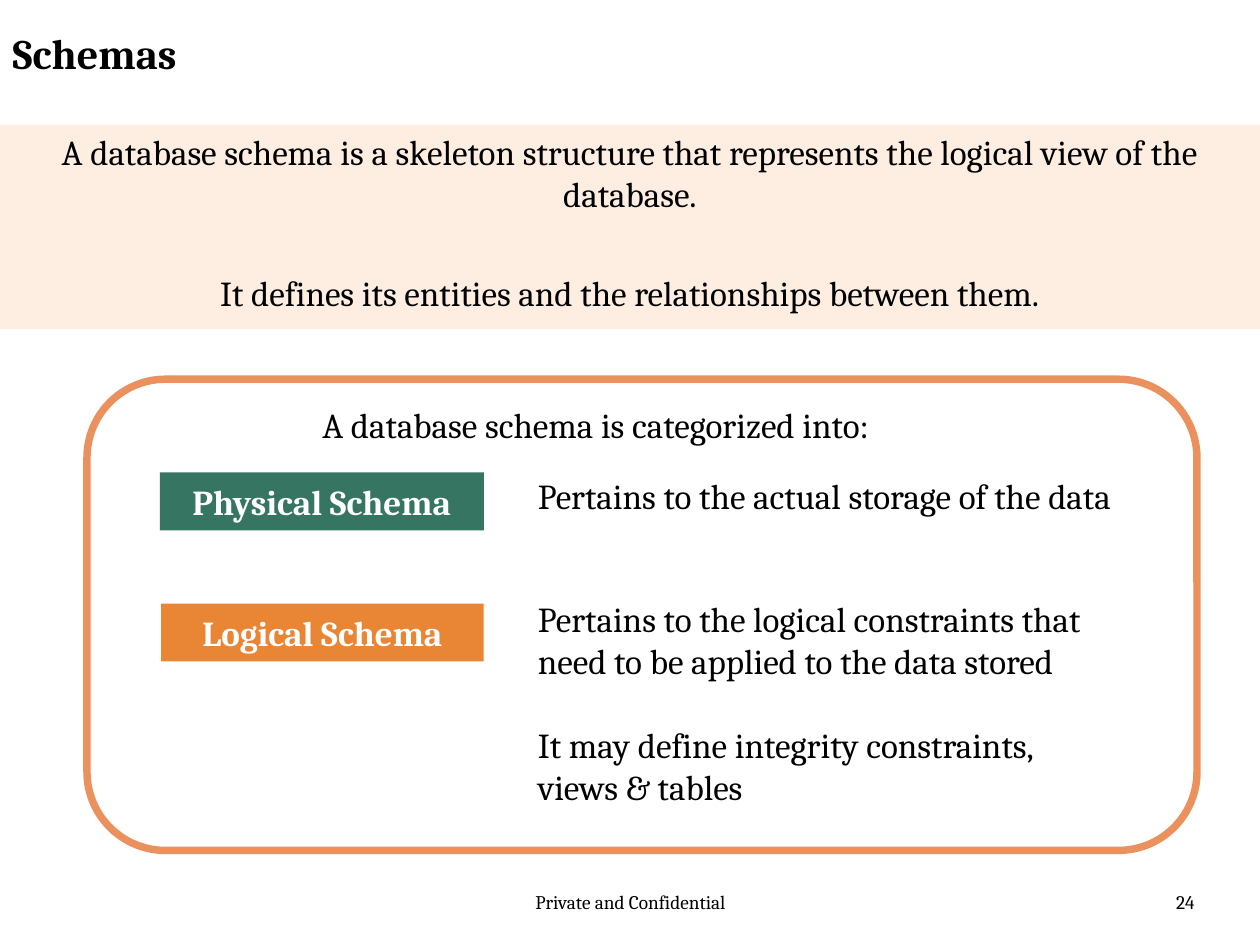
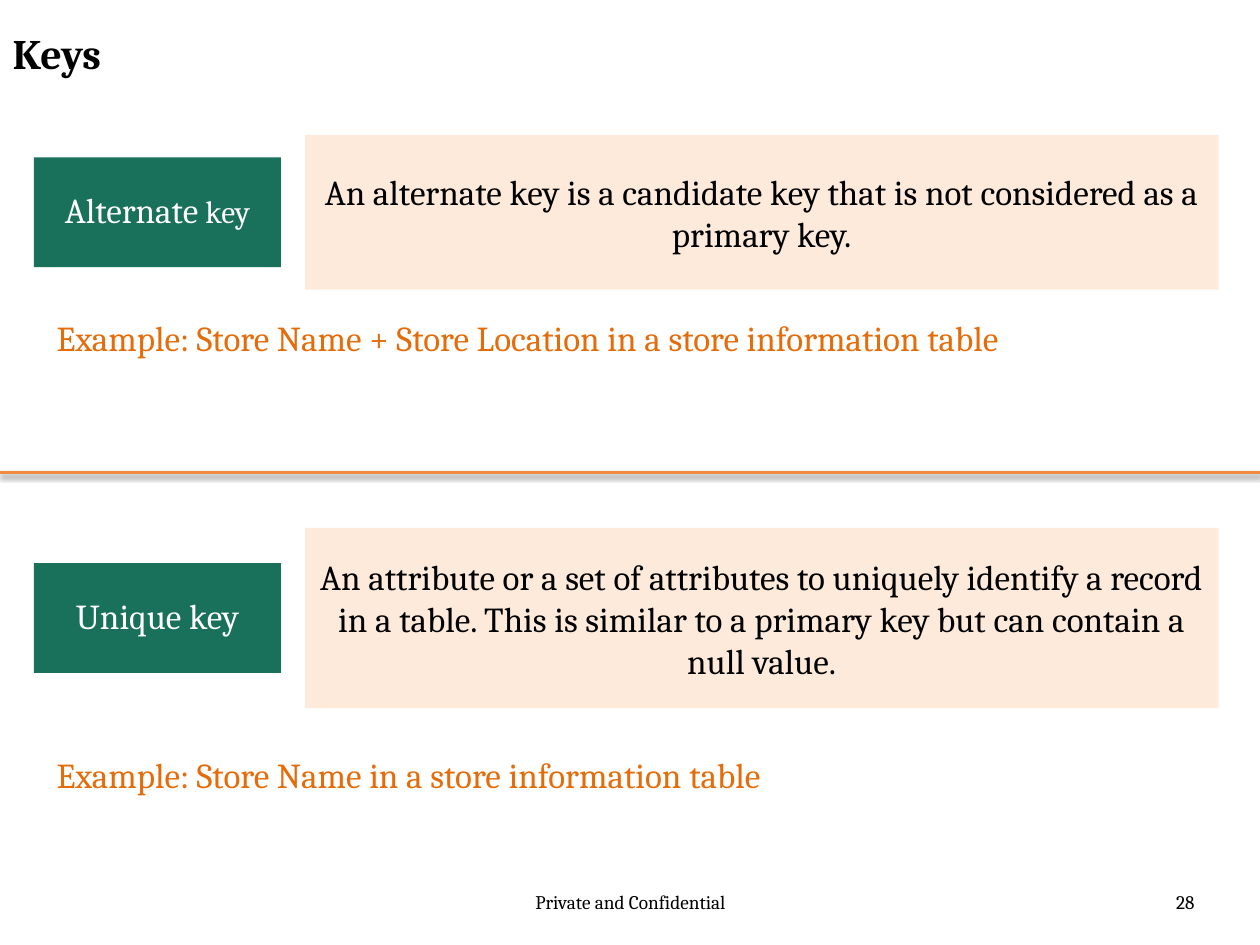
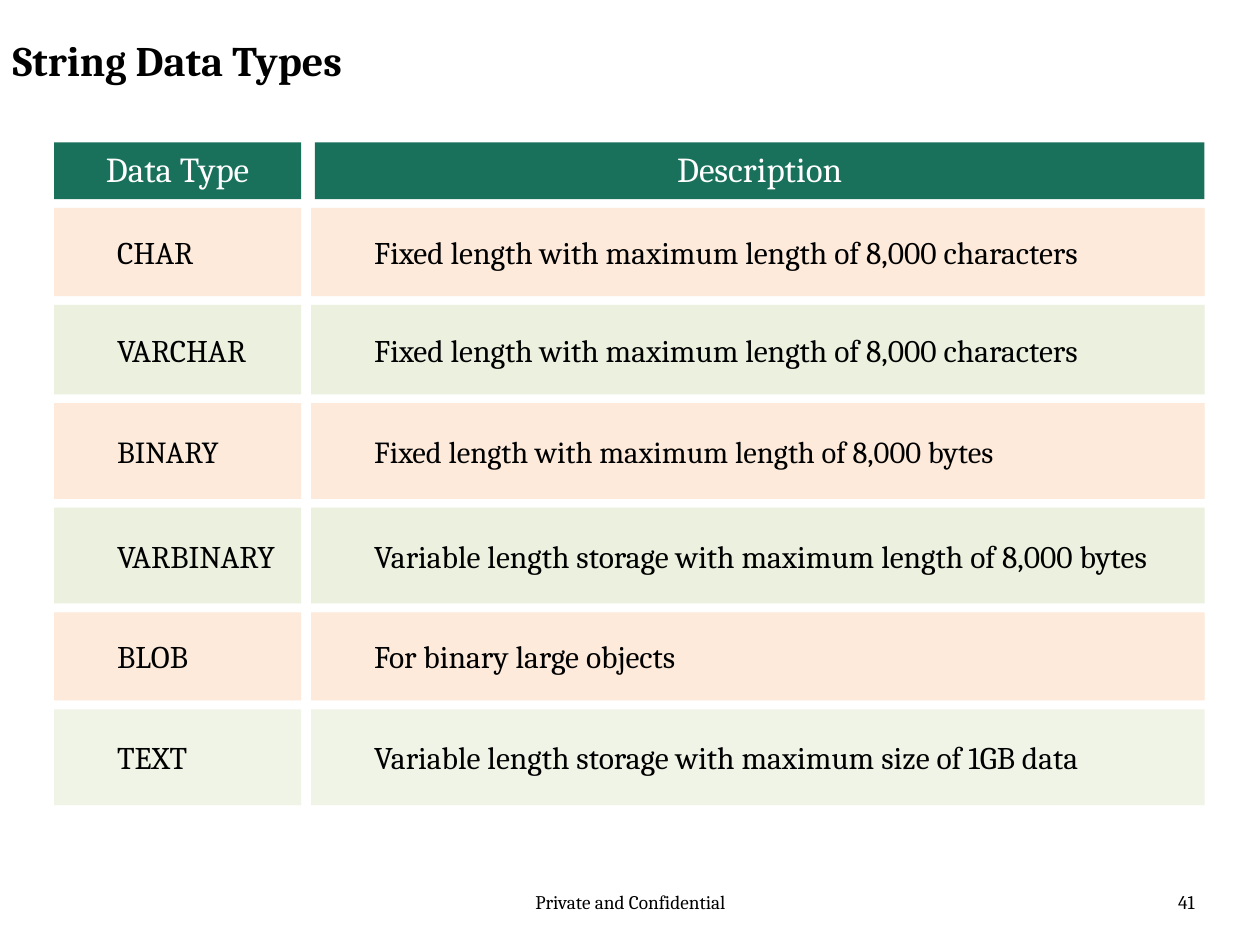
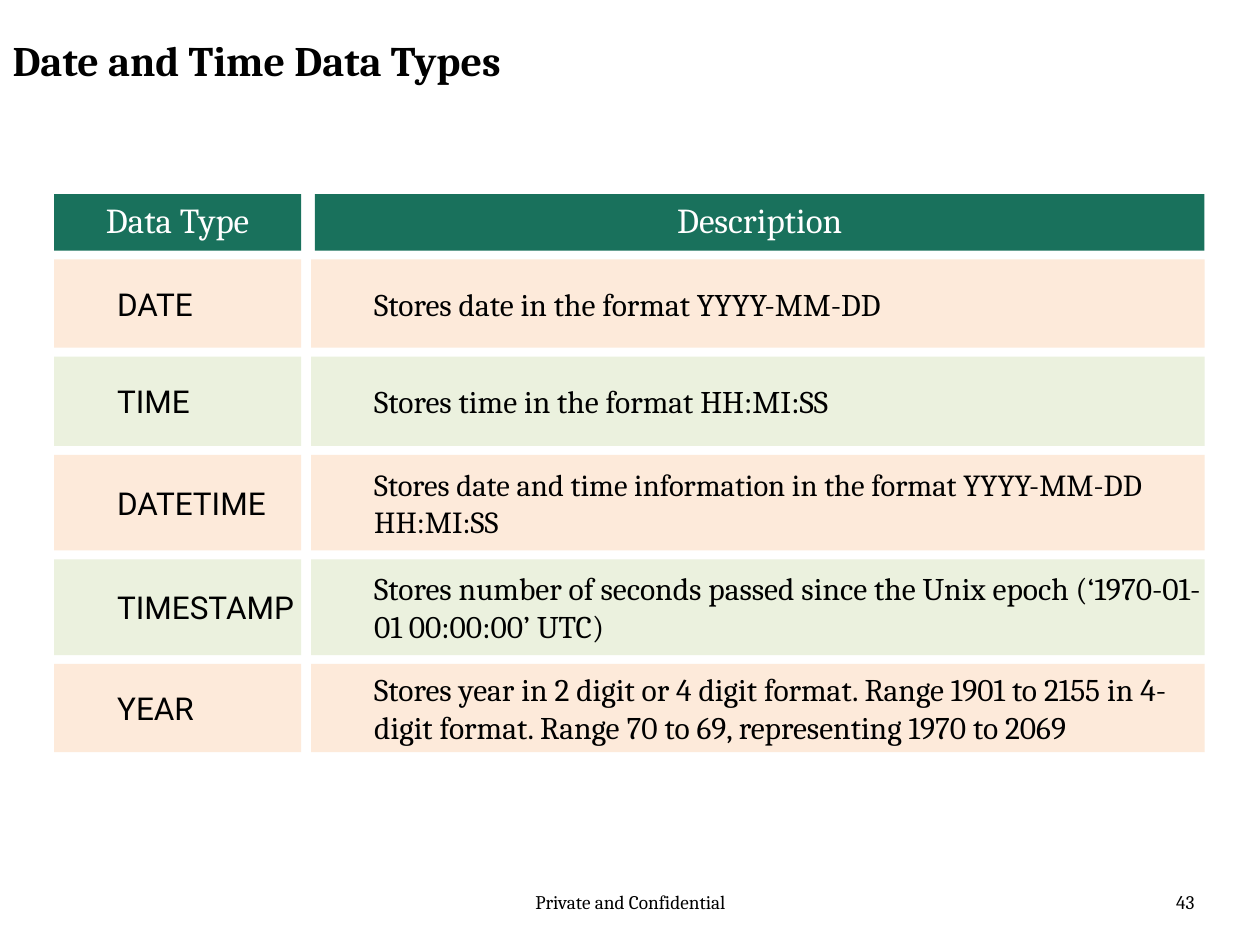
"""Build four database lecture slides: schemas, keys and two data type grids."""
from lxml import etree
from pptx import Presentation
from pptx.dml.color import RGBColor
from pptx.enum import shapes, text
from pptx.oxml import ns
from pptx.util import Inches, Pt

BLACK = RGBColor(0x00, 0x00, 0x00)
WHITE = RGBColor(0xFF, 0xFF, 0xFF)
GREEN = RGBColor(0x19, 0x71, 0x5C)
SOFT_GREEN = RGBColor(0x35, 0x75, 0x62)
ORANGE = RGBColor(0xE9, 0x86, 0x35)
FRAME_ORANGE = RGBColor(0xEA, 0x91, 0x5D)
RULE_ORANGE = RGBColor(0xEF, 0x8A, 0x3F)
EXAMPLE_ORANGE = RGBColor(0xE4, 0x6C, 0x0A)
PEACH = RGBColor(0xFD, 0xEA, 0xDA)
MINT = RGBColor(0xEB, 0xF1, 0xDE)

SERIF, SANS = "Cambria", "Roboto"
LEFT, CENTER, RIGHT = text.PP_ALIGN.LEFT, text.PP_ALIGN.CENTER, text.PP_ALIGN.RIGHT
TOP, MIDDLE = text.MSO_ANCHOR.TOP, text.MSO_ANCHOR.MIDDLE
DEFAULT_INSETS, WIDE_INSETS, NO_INSETS = (0.1, 0.05), (0.12, 0.08), (0, 0)

FOOTER = "Private and Confidential"
TITLE_BOX, GRID_TITLE_BOX = (0, 0.17, 9, 0.83), (0, 0.22, 7.59, 0.62)

SCHEMA_DEFINITION = [
    "A database schema is a skeleton structure that represents the logical view of the database.",
    "It defines its entities and the relationships between them.",
]
SCHEMA_INTRO = "A database schema is categorized into:"
SCHEMA_KINDS = [
    ("Physical Schema", SOFT_GREEN, (1.27, 3.75, 2.57, 0.46),
     ["Pertains to the actual storage of the data"], (4.17, 3.72, 5.33, 0.44)),
    ("Logical Schema", ORANGE, (1.28, 4.79, 2.56, 0.46),
     ["Pertains to the logical constraints that need to be applied to the data stored",
      "It may define integrity constraints, views & tables"], (4.17, 4.69, 4.75, 1.78)),
]

# Each key: label runs, definition, example, then definition top and height, example top
KEYS = [
    ([("Alternate", 20), (" key", 18)],
     "An alternate key is a candidate key that is not considered as a primary key.",
     "Example: Store Name + Store Location in a store information table", 1.07, 1.23, 2.46),
    ([("Unique key", 20)],
     "An attribute or a set of attributes to uniquely identify a record in a table. "
     "This is similar to a primary key but can contain a null value.",
     "Example: Store Name in a store information table", 4.19, 1.43, 5.93),
]
KEY_LABEL_HEIGHT = 0.87

GRID_HEADINGS = ("Data Type", "Description")
STRING_TYPES = [
    ("CHAR", "Fixed length with maximum length of 8,000 characters"),
    ("VARCHAR", "Fixed length with maximum length of 8,000 characters"),
    ([("BINARY", 17.5)], [("Fixed length with maximum length of 8,000 bytes", 17.5)]),
    ("VARBINARY", "Variable length storage with maximum length of 8,000 bytes"),
    ("BLOB", "For binary large objects"),
    ("TEXT", "Variable length storage with maximum size of 1GB data"),
]
DATE_TYPES = [
    ("DATE", "Stores date in the format YYYY-MM-DD"),
    ("TIME", "Stores time in the format HH:MI:SS"),
    ("DATETIME", [("Stores date and time information in the format YYYY-MM-DD HH:MI:SS", 17.5)]),
    ("TIMESTAMP", "Stores number of seconds passed since the Unix epoch (‘1970-01-01 00:00:00’ UTC)"),
    ("YEAR", "Stores year in 2 digit or 4 digit format. Range 1901 to 2155 in 4-digit format. "
             "Range 70 to 69, representing 1970 to 2069"),
]
HEADING_COLUMNS = [(0.43, 1.96), (2.5, 7.06)]
ROW_COLUMNS = [(0.43, 1.96), (2.47, 7.09)]
HEADING_HEIGHT, ROW_GAP = 0.45, 0.07
ROW_HEIGHTS = [0.7, 0.71, 0.76, 0.76, 0.7, 0.76]


def inches(box):
    return [Inches(length) for length in box]


def write(frame, paragraphs, size=20, color=BLACK, bold=False, font=SERIF, align=LEFT,
          anchor=TOP, insets=DEFAULT_INSETS, gap=0, after=0, line=None, indent=0):
    """Fill a text frame; a paragraph is a string or a list of (words, size) runs."""
    frame.word_wrap = True
    frame.auto_size = text.MSO_AUTO_SIZE.NONE
    frame.vertical_anchor = anchor
    frame.margin_left = frame.margin_right = Inches(insets[0])
    frame.margin_top = frame.margin_bottom = Inches(insets[1])
    for index, content in enumerate(paragraphs):
        paragraph = frame.add_paragraph() if index else frame.paragraphs[0]
        if indent:
            paragraph.level = 1
            properties = paragraph._p.get_or_add_pPr()
            properties.set("marL", str(Inches(indent)))
            properties.set("indent", "0")
        paragraph.alignment = align
        paragraph.space_before = Pt(gap if index else 0)
        paragraph.space_after = Pt(after)
        if line:
            paragraph.line_spacing = line
        for words, points in [(content, size)] if isinstance(content, str) else content:
            run = paragraph.add_run()
            run.text = words
            run.font.name = font
            run.font.size = Pt(points)
            run.font.bold = bold
            run.font.color.rgb = color


def add_text(slide, box, paragraphs, **style):
    write(slide.shapes.add_textbox(*inches(box)).text_frame, paragraphs, **style)


def add_panel(slide, box, fill, paragraphs, opacity=100, **style):
    panel = slide.shapes.add_shape(shapes.MSO_SHAPE.RECTANGLE, *inches(box))
    panel.shadow.inherit = False
    panel.line.fill.background()
    panel.fill.solid()
    panel.fill.fore_color.rgb = fill
    if opacity < 100:
        tint = panel._element.spPr.find(".//" + ns.qn("a:srgbClr"))
        etree.SubElement(tint, ns.qn("a:alpha"), val=str(opacity * 1000))
    write(panel.text_frame, paragraphs, **style)


def add_label(slide, box, content):
    add_panel(slide, box, GREEN, [content], color=WHITE, align=CENTER, anchor=MIDDLE,
              insets=WIDE_INSETS, line=0.9, after=7)


def add_slide(deck, title, number, title_box=TITLE_BOX):
    slide = deck.slides.add_slide(deck.slide_layouts[5])
    heading = slide.shapes.title
    heading.left, heading.top, heading.width, heading.height = inches(title_box)
    write(heading.text_frame, [title], size=24, bold=True)
    add_text(slide, (3.42, 7.02, 3.17, 0.4), [FOOTER], size=11, align=CENTER)
    add_text(slide, (7.25, 7.02, 2.33, 0.4), [str(number)], size=11, align=RIGHT)
    return slide


def build_schemas(deck):
    slide = add_slide(deck, "Schemas", 24)
    add_panel(slide, (0, 0.99, 10, 1.62), PEACH, SCHEMA_DEFINITION, opacity=79,
              align=CENTER, gap=32)
    border = slide.shapes.add_shape(shapes.MSO_SHAPE.ROUNDED_RECTANGLE,
                                    *inches((0.69, 3.01, 8.81, 3.74)))
    border.shadow.inherit = False
    border.fill.background()
    border.line.color.rgb = FRAME_ORANGE
    border.line.width = Pt(4.25)
    add_text(slide, (2.46, 3.15, 4.8, 0.44), [SCHEMA_INTRO])
    for kind, color, kind_box, meaning, meaning_box in SCHEMA_KINDS:
        add_panel(slide, kind_box, color, [kind], color=WHITE, bold=True,
                  align=CENTER, anchor=MIDDLE)
        add_text(slide, meaning_box, meaning, gap=24)


def add_divider(slide, top):
    divider = slide.shapes.add_connector(shapes.MSO_CONNECTOR.STRAIGHT,
                                         *inches((0, top, 10, top)))
    divider.line.color.rgb = RULE_ORANGE
    divider.line.width = Pt(2)
    effects = etree.SubElement(divider._element.spPr, ns.qn("a:effectLst"))
    shadow = etree.SubElement(effects, ns.qn("a:outerShdw"), blurRad=str(Pt(3.1)),
                              dist=str(Pt(1.6)), dir="5400000", rotWithShape="0")
    shade = etree.SubElement(shadow, ns.qn("a:srgbClr"), val=str(BLACK))
    etree.SubElement(shade, ns.qn("a:alpha"), val="38000")


def build_keys(deck):
    slide = add_slide(deck, "Keys", 28)
    add_divider(slide, 3.75)
    for label, definition, example, top, height, example_top in KEYS:
        label_top = top + (height - KEY_LABEL_HEIGHT) / 2
        add_label(slide, (0.27, label_top, 1.96, KEY_LABEL_HEIGHT), label)
        add_panel(slide, (2.42, top, 7.25, height), PEACH, [definition],
                  align=CENTER, anchor=MIDDLE, insets=WIDE_INSETS)
        add_text(slide, (0.35, example_top, 8.65, 0.44), [example], color=EXAMPLE_ORANGE)


def build_type_grid(deck, title, number, top, types, name_font):
    slide = add_slide(deck, title, number, GRID_TITLE_BOX)
    for (left, width), heading in zip(HEADING_COLUMNS, GRID_HEADINGS):
        add_label(slide, (left, top, width, HEADING_HEIGHT), heading)
    row_top = top + HEADING_HEIGHT + ROW_GAP
    for index, (row, height) in enumerate(zip(types, ROW_HEIGHTS)):
        fill = MINT if index % 2 else PEACH
        opacity = 72 if index == 5 else 100
        for (left, width), content, font in zip(ROW_COLUMNS, row, (name_font, SERIF)):
            add_panel(slide, (left, row_top, width, height), fill, [content], opacity=opacity,
                      size=18, font=font, anchor=MIDDLE, insets=NO_INSETS, after=6, indent=0.5)
        row_top += height + ROW_GAP


def main():
    deck = Presentation()
    deck.slide_width, deck.slide_height = Inches(10), Inches(7.5)
    build_schemas(deck)
    build_keys(deck)
    build_type_grid(deck, "String Data Types", 41, 1.13, STRING_TYPES, SERIF)
    build_type_grid(deck, "Date and Time Data Types", 43, 1.54, DATE_TYPES, SANS)
    deck.save("out.pptx")


if __name__ == "__main__":
    main()
